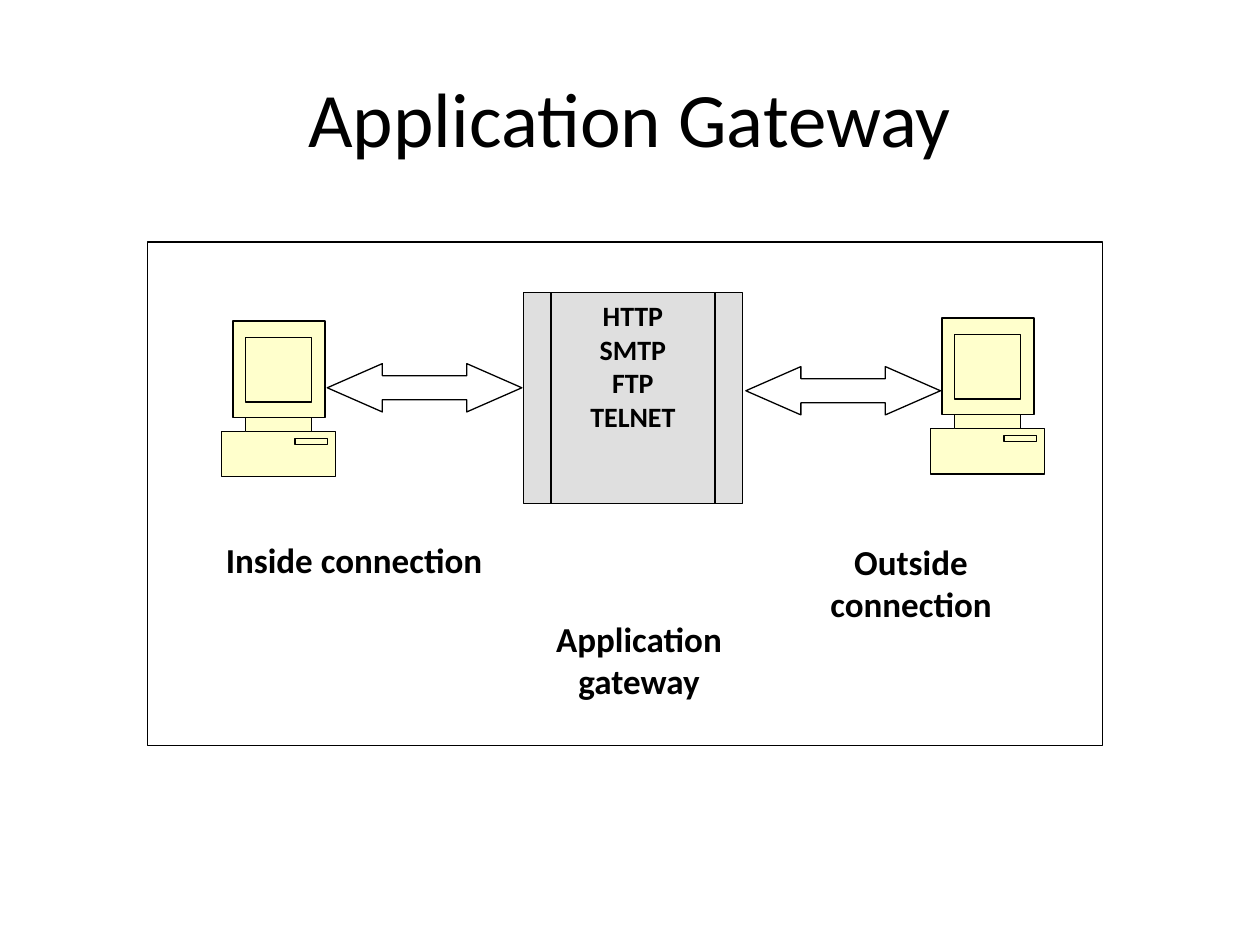
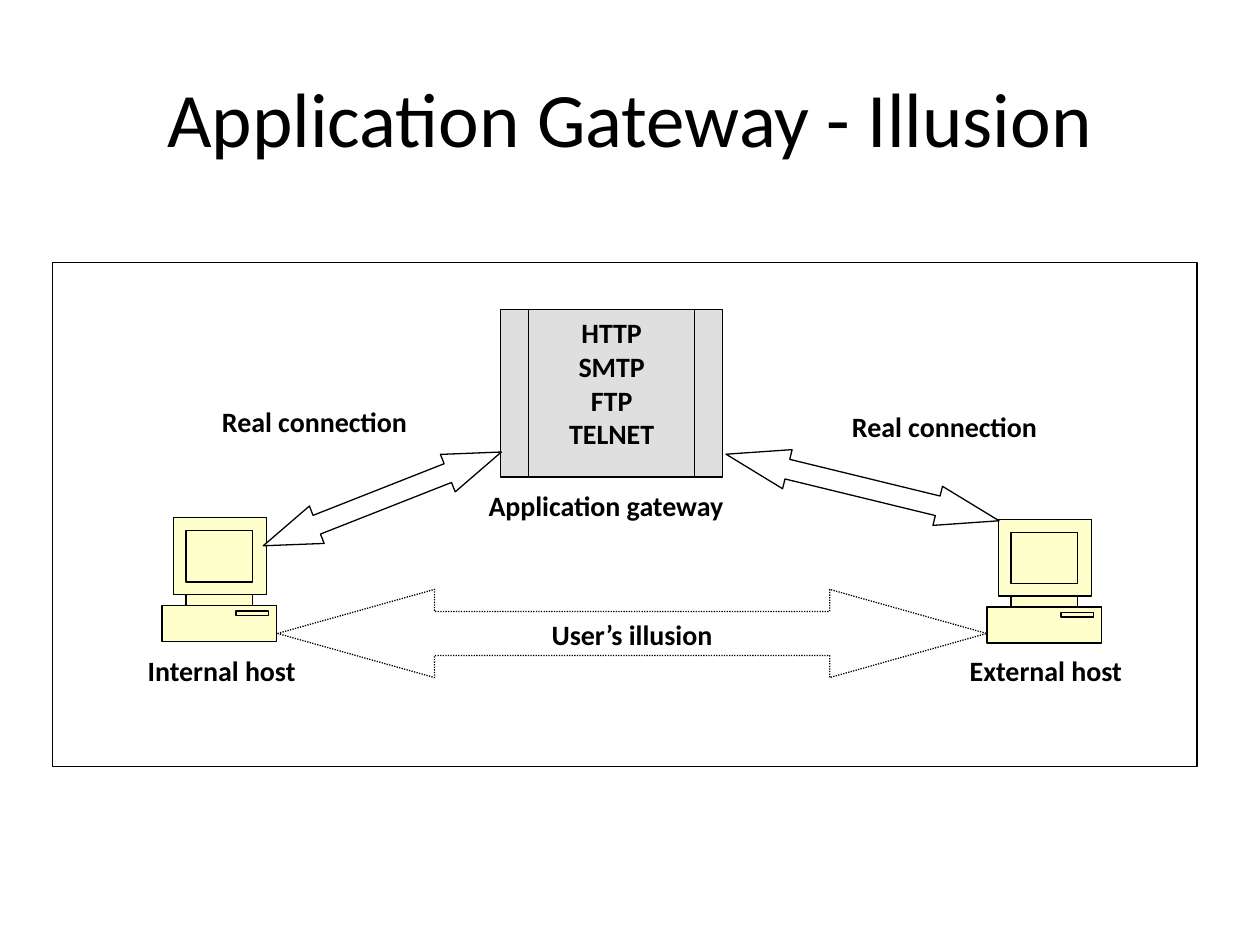
from lxml import etree
from pptx import Presentation
from pptx.dml.color import RGBColor
from pptx.enum.dml import MSO_LINE
from pptx.enum.shapes import MSO_SHAPE
from pptx.enum.text import MSO_ANCHOR, PP_ALIGN
from pptx.oxml.ns import qn
from pptx.util import Pt

BLACK = "000000"
WHITE = "FFFFFF"
CREAM = "FFFFCC"
SILVER = "C0C0C0"
FONT = "Calibri"
PROTOCOLS = ["HTTP", "SMTP", "FTP", "TELNET"]

CASE = [(79, 71), (79, 62), (91, 62), (91, 0), (10, 0), (10, 62), (21, 62),
        (21, 71), (0, 71), (0, 100), (100, 100), (100, 71)]


def box(left, top, right, bottom):
    return [(left, top), (right, top), (right, bottom), (left, bottom)]


NECK = box(21, 62, 79, 71)
SCREEN = box(21, 10.5, 79, 52)
SLOT = box(64.5, 75.5, 93, 79)


def color(value):
    return RGBColor.from_string(value)


class Deck:
    def __init__(self):
        self.prs = Presentation()
        self.prs.slide_width = Pt(720)
        self.prs.slide_height = Pt(540)
        self.s = None

    def slide(self, title):
        self.s = self.prs.slides.add_slide(self.prs.slide_layouts[6])
        tb = self.s.shapes.add_textbox(Pt(36), Pt(21.6), Pt(648), Pt(90))
        self.text(tb, [title], 44, False, MSO_ANCHOR.MIDDLE)

    def text(self, sp, lines, size, bold=True, anchor=MSO_ANCHOR.TOP):
        tf = sp.text_frame
        tf.word_wrap = True
        tf.vertical_anchor = anchor
        for i, line in enumerate(lines):
            p = tf.add_paragraph() if i else tf.paragraphs[0]
            p.text = line
            p.alignment = PP_ALIGN.CENTER
            p.font.name = FONT
            p.font.size = Pt(size)
            p.font.bold = bold
            p.font.color.rgb = color(BLACK)

    def style(self, sp, fill=WHITE, outlined=True):
        sp.shadow.inherit = False
        sp.fill.solid()
        sp.fill.fore_color.rgb = color(fill)
        if outlined:
            sp.line.color.rgb = color(BLACK)
            sp.line.width = Pt(0.75)
        else:
            sp.line.fill.background()

    def shape(self, kind, x, y, w, h, fill=WHITE, outlined=True):
        sp = self.s.shapes.add_shape(kind, Pt(x), Pt(y), Pt(w), Pt(h))
        self.style(sp, fill, outlined)
        return sp

    def frame(self, x, y, w, h):
        self.shape(MSO_SHAPE.RECTANGLE, x, y, w, h)

    def label(self, text, x, y, w, h, size):
        sp = self.shape(MSO_SHAPE.RECTANGLE, x, y, w, h, outlined=False)
        self.text(sp, [text], size)

    def gateway(self, x, y, w, h):
        sp = self.shape(MSO_SHAPE.FLOWCHART_PREDEFINED_PROCESS, x, y, w, h, SILVER)
        clr = sp.element.spPr.find(qn("a:solidFill"))[0]
        etree.SubElement(clr, qn("a:alpha"), val="50000")
        self.text(sp, PROTOCOLS, 16)

    def arrow(self, x, y, w, h, head, rotation=0):
        sp = self.shape(MSO_SHAPE.LEFT_RIGHT_ARROW, x, y, w, h)
        sp.adjustments[0] = 0.5
        sp.adjustments[1] = head
        sp.rotation = rotation
        return sp

    def computer(self, x, y, w, h):
        for contours in ([CASE], [NECK], [SCREEN, SLOT]):
            fb = None
            for contour in contours:
                pts = [(Pt(x + w * u / 100), Pt(y + h * v / 100)) for u, v in contour]
                if fb is None:
                    fb = self.s.shapes.build_freeform(*pts[0])
                else:
                    fb.move_to(*pts[0])
                fb.add_line_segments(pts[1:], close=True)
            self.style(fb.convert_to_shape(), CREAM)


def gateway_slide(d):
    d.slide("Application Gateway")
    d.frame(84.24, 138.24, 545.76, 288)
    d.computer(126.6, 183.5, 65, 89)
    d.gateway(299.2, 167.2, 125, 120.4)
    d.arrow(187, 207.8, 111.2, 27.6, 1.14)
    d.arrow(426.2, 209.5, 111.2, 27.6, 1.14)
    d.computer(531.8, 181.8, 65, 89)
    for text, x, y in [("Outside connection", 437.4, 305.2),
                       ("Inside connection", 119.2, 304),
                       ("Application gateway", 282, 349.3)]:
        d.label(text, x, y, 166.3, 49, 20)


def illusion_slide(d):
    d.slide("Application Gateway - Illusion")
    d.frame(30, 150, 654, 288)
    d.computer(92.6, 295.9, 65.6, 70.6)
    d.gateway(286.2, 177, 126.7, 95.6)
    d.computer(564, 296.8, 65.6, 70.6)
    d.label("External host", 529.9, 370.1, 135.4, 38.9, 16)
    d.label("Internal host", 59, 370.1, 135.4, 38.9, 16)
    d.label("Application gateway", 262.1, 275.8, 168.5, 38.9, 16)
    illusion = d.arrow(158.6, 336.8, 405.2, 50.4, 1.78)
    illusion.line.dash_style = MSO_LINE.ROUND_DOT
    d.text(illusion, ["User’s illusion"], 16)
    d.arrow(145.4, 273.6, 146.2, 23, 1.43, 338.5)
    d.label("Real connection", 110.2, 227.5, 139, 35.3, 16)
    d.arrow(412.6, 267.1, 160.6, 23, 1.57, 13.7)
    d.label("Real connection", 470.2, 230.4, 139, 35.3, 16)


def main():
    d = Deck()
    gateway_slide(d)
    illusion_slide(d)
    d.prs.save("out.pptx")


if __name__ == "__main__":
    main()
